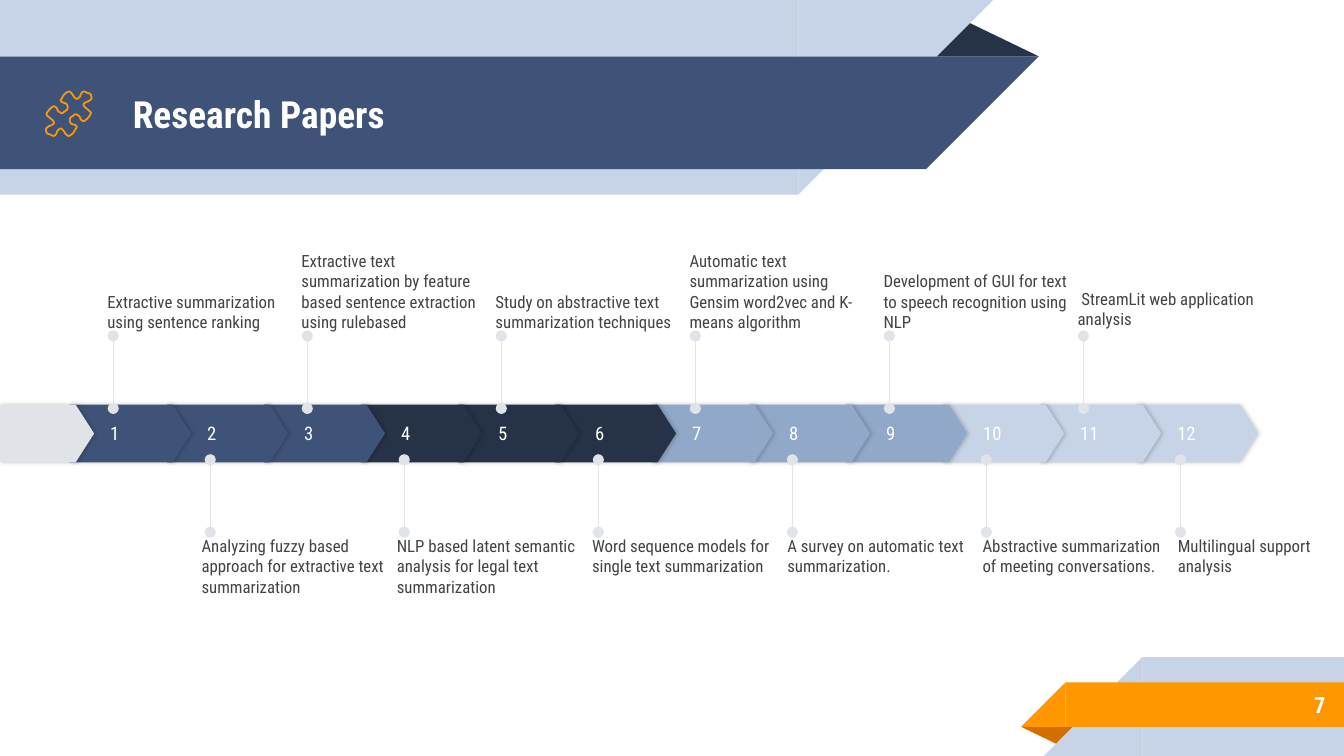
from dataclasses import dataclass
from typing import Optional

from lxml.etree import SubElement
from pptx import Presentation
from pptx.dml.color import RGBColor
from pptx.enum.shapes import MSO_CONNECTOR, MSO_SHAPE
from pptx.enum.text import MSO_ANCHOR, PP_ALIGN
from pptx.oxml.ns import qn
from pptx.util import Cm, Pt

FONT = "Roboto Condensed"
WHITE, PALE, MIST, STEEL, NAVY, INK = "FFFFFF", "C7D3E6", "E0E4E9", "92A8C8", "3F5378", "263248"
ORANGE, RUST, GREY = "FF9800", "D26F00", "434343"

CHEVRON_TOP, CHEVRON_WIDTH, CHEVRON_HEIGHT = 7.65, 2.29, 1.09
FIRST_LEFT, LAST_LEFT = 1.32, 21.49
PIN_OFFSET, PIN_LENGTH = 0.82, 1.37
LABEL_WIDTH, LABEL_HEIGHT = 3.48, 1.47


@dataclass
class Block:
    preset: MSO_SHAPE
    left: float
    top: float
    width: float
    height: float
    fill: str
    flip: Optional[str] = None
    adjustment: Optional[float] = None


@dataclass
class Paper:
    title: str
    fill: str
    label_width: float = LABEL_WIDTH
    label_shift: float = 0


RECTANGLE, CORNER, FOLD = MSO_SHAPE.RECTANGLE, MSO_SHAPE.RIGHT_TRIANGLE, MSO_SHAPE.ISOSCELES_TRIANGLE
RIBBONS = [
    Block(FOLD, 17.48, 0.36, 2.16, 0.71, INK, adjustment=0.32),
    Block(RECTANGLE, 0, 0, 15.09, 3.68, PALE),
    Block(CORNER, 15.09, 0, 3.68, 3.68, PALE, "flipV"),
    Block(RECTANGLE, 0, 1.07, 17.5, 2.13, NAVY),
    Block(CORNER, 17.5, 1.07, 2.13, 2.13, NAVY, "flipV"),
    Block(FOLD, 19.3, 13.74, 1.09, 0.36, RUST, "flipV", 0.68),
    Block(RECTANGLE, 21.59, 12.42, 3.81, 1.87, PALE),
    Block(CORNER, 19.73, 12.42, 1.86, 1.87, PALE, "flipH"),
    Block(RECTANGLE, 20.14, 12.9, 5.26, 0.84, ORANGE),
    Block(CORNER, 19.3, 12.9, 0.84, 0.84, ORANGE, "flipH"),
]

PAPERS = [
    Paper("Extractive summarization using sentence ranking", NAVY),
    Paper("Analyzing fuzzy based approach for extractive text summarization", NAVY),
    Paper("Extractive text summarization by feature based sentence extraction using rulebased", NAVY),
    Paper("NLP based latent semantic analysis for legal text summarization", INK),
    Paper("Study on abstractive text summarization techniques", INK),
    Paper("Word sequence models for single text summarization", INK),
    Paper("Automatic text summarization using Gensim word2vec and K-means algorithm", STEEL),
    Paper("A survey on automatic text summarization.", STEEL),
    Paper("Development of GUI for text to speech recognition using NLP", STEEL),
    Paper("Abstractive summarization of meeting conversations.", PALE),
    Paper(" StreamLit web application analysis", PALE, label_shift=-0.05),
    Paper("Multilingual support analysis", PALE, label_width=2.87),
]

# Half of the puzzle outline in cm from its centre; the other half is its point reflection
PUZZLE_CENTRE = (1.3, 2.15)
PUZZLE_HALF = [
    (0.33, -0.22), (0.38, -0.24), (0.43, -0.29), (0.41, -0.37), (0.36, -0.39), (0.28, -0.42),
    (0.23, -0.37), (0.21, -0.32), (0.15, -0.28), (0.1, -0.32), (0.05, -0.39), (0, -0.42),
    (-0.08, -0.37), (-0.13, -0.29), (-0.15, -0.26), (-0.13, -0.22), (-0.05, -0.19), (-0.02, -0.14),
    (-0.03, -0.08), (-0.08, -0.04), (-0.13, -0.01), (-0.2, -0.05), (-0.23, -0.11), (-0.28, -0.14),
    (-0.33, -0.11), (-0.38, -0.06), (-0.42, 0.01), (-0.38, 0.06), (-0.3, 0.13), (-0.28, 0.18),
]


def rgb(value: str) -> RGBColor:
    return RGBColor.from_string(value)


def write(shape, text: str, size: float, color: str, bold: bool = False,
          anchor=MSO_ANCHOR.MIDDLE, align=PP_ALIGN.LEFT, insets=(0, 0, 0, 0)) -> None:
    frame = shape.text_frame
    sides = ("margin_left", "margin_top", "margin_right", "margin_bottom")
    frame_format = {"word_wrap": True, "vertical_anchor": anchor,
                    **{side: Cm(inset) for side, inset in zip(sides, insets)}}
    for name, value in frame_format.items():
        setattr(frame, name, value)
    paragraph = frame.paragraphs[0]
    paragraph.alignment = align
    run = paragraph.add_run()
    run.text = text
    for name, value in {"name": FONT, "size": Pt(size), "bold": bold}.items():
        setattr(run.font, name, value)
    run.font.color.rgb = rgb(color)


def add_block(slide, block: Block):
    box = map(Cm, (block.left, block.top, block.width, block.height))
    shape = slide.shapes.add_shape(block.preset, *box)
    shape.shadow.inherit = False
    shape.fill.solid()
    shape.fill.fore_color.rgb = rgb(block.fill)
    shape.line.fill.background()
    if block.adjustment is not None:
        shape.adjustments[0] = block.adjustment
    if block.flip:
        shape._element.spPr.xfrm.set(block.flip, "1")
    return shape


def add_text(slide, left: float, top: float, width: float, height: float, text: str, **text_format) -> None:
    box = slide.shapes.add_textbox(Cm(left), Cm(top), Cm(width), Cm(height))
    write(box, text, **text_format)


def add_chevron(slide, left: float, width: float, fill: str):
    """Draw a pentagon arrow with a soft shadow on its right."""
    shape = add_block(slide, Block(MSO_SHAPE.PENTAGON, left, CHEVRON_TOP, width, CHEVRON_HEIGHT,
                                   fill, adjustment=0.32))
    effects = shape._element.spPr.find(qn("a:effectLst"))
    shadow = SubElement(effects, qn("a:outerShdw"), blurRad=str(Pt(2.2)), dist=str(Pt(0.8)),
                        dir="0", algn="bl", rotWithShape="0")
    color = SubElement(shadow, qn("a:srgbClr"), val="000000")
    SubElement(color, qn("a:alpha"), val="20000")
    return shape


def add_pin(slide, x: float, start: float, end: float) -> None:
    """Draw a vertical line with a dot at each end."""
    pin = slide.shapes.add_connector(MSO_CONNECTOR.STRAIGHT, Cm(x), Cm(start), Cm(x), Cm(end))
    pin.line.width = Pt(0.75)
    pin.line.color.rgb = rgb(MIST)
    line = pin.line._get_or_add_ln()
    for tag in ("a:headEnd", "a:tailEnd"):
        SubElement(line, qn(tag), type="oval")
    SubElement(pin._element.spPr, qn("a:effectLst"))


def smooth_outline(points: list, steps: int = 5) -> list:
    """Round a closed outline with a Catmull-Rom spline."""
    count, outline = len(points), []
    for index in range(count):
        a, b, c, d = (points[(index + offset) % count] for offset in (-1, 0, 1, 2))
        for step in range(steps):
            t = step / steps
            outline.append(tuple(
                (2 * q + (r - p) * t + (2 * p - 5 * q + 4 * r - s) * t**2
                 + (3 * q - p - 3 * r + s) * t**3) / 2
                for p, q, r, s in zip(a, b, c, d)))
    return outline


def add_puzzle(slide) -> None:
    points = PUZZLE_HALF + [(-x, -y) for x, y in PUZZLE_HALF]
    centre_x, centre_y = PUZZLE_CENTRE
    outline = [(Cm(centre_x + x), Cm(centre_y + y)) for x, y in smooth_outline(points)]
    builder = slide.shapes.build_freeform(*outline[0])
    builder.add_line_segments(outline[1:], close=True)
    puzzle = builder.convert_to_shape()
    puzzle.shadow.inherit = False
    puzzle.fill.background()
    puzzle.line.color.rgb = rgb(ORANGE)
    puzzle.line.width = Pt(0.96)


def add_timeline(slide) -> None:
    pitch = (LAST_LEFT - FIRST_LEFT) / (len(PAPERS) - 1)
    lefts = [FIRST_LEFT + index * pitch for index in range(len(PAPERS))]
    for number, (left, paper) in reversed(list(enumerate(zip(lefts, PAPERS), 1))):
        chevron = add_chevron(slide, left, CHEVRON_WIDTH, paper.fill)
        write(chevron, str(number), 10, WHITE, insets=(0.76, 0, 0, 0))
    add_chevron(slide, 0, 1.78, MIST)

    for index, (left, paper) in enumerate(zip(lefts, PAPERS)):
        above = index % 2 == 0
        start, label_top, anchor = (7.72, 4.8, MSO_ANCHOR.BOTTOM) if above else (10.06, 10.13, MSO_ANCHOR.TOP)
        label_left = left + 0.71 if above else 3.81 + index // 2 * 3.69
        add_pin(slide, left + PIN_OFFSET, start, start - PIN_LENGTH)
        add_text(slide, label_left, label_top + paper.label_shift, paper.label_width, LABEL_HEIGHT,
                 paper.title, size=9, color=GREY, anchor=anchor)


def main() -> None:
    presentation = Presentation()
    presentation.slide_width, presentation.slide_height = Cm(25.4), Cm(14.29)
    slide = presentation.slides.add_slide(presentation.slide_layouts[5])
    for block in RIBBONS:
        add_block(slide, block)

    title = slide.shapes.title
    slide.shapes._spTree.append(title._element)  # bring the title in front of the ribbon
    for name, value in {"left": 2.26, "top": 1.09, "width": 14.6, "height": 2.13}.items():
        setattr(title, name, Cm(value))
    write(title, "Research Papers", 20, WHITE, bold=True, insets=(0.25,) * 4)
    add_text(slide, 21.16, 12.88, 4.14, 0.89, "7", size=12, color=WHITE, bold=True,
             align=PP_ALIGN.RIGHT, insets=(0.25,) * 4)
    add_timeline(slide)
    add_puzzle(slide)
    presentation.save("out.pptx")


if __name__ == "__main__":
    main()
